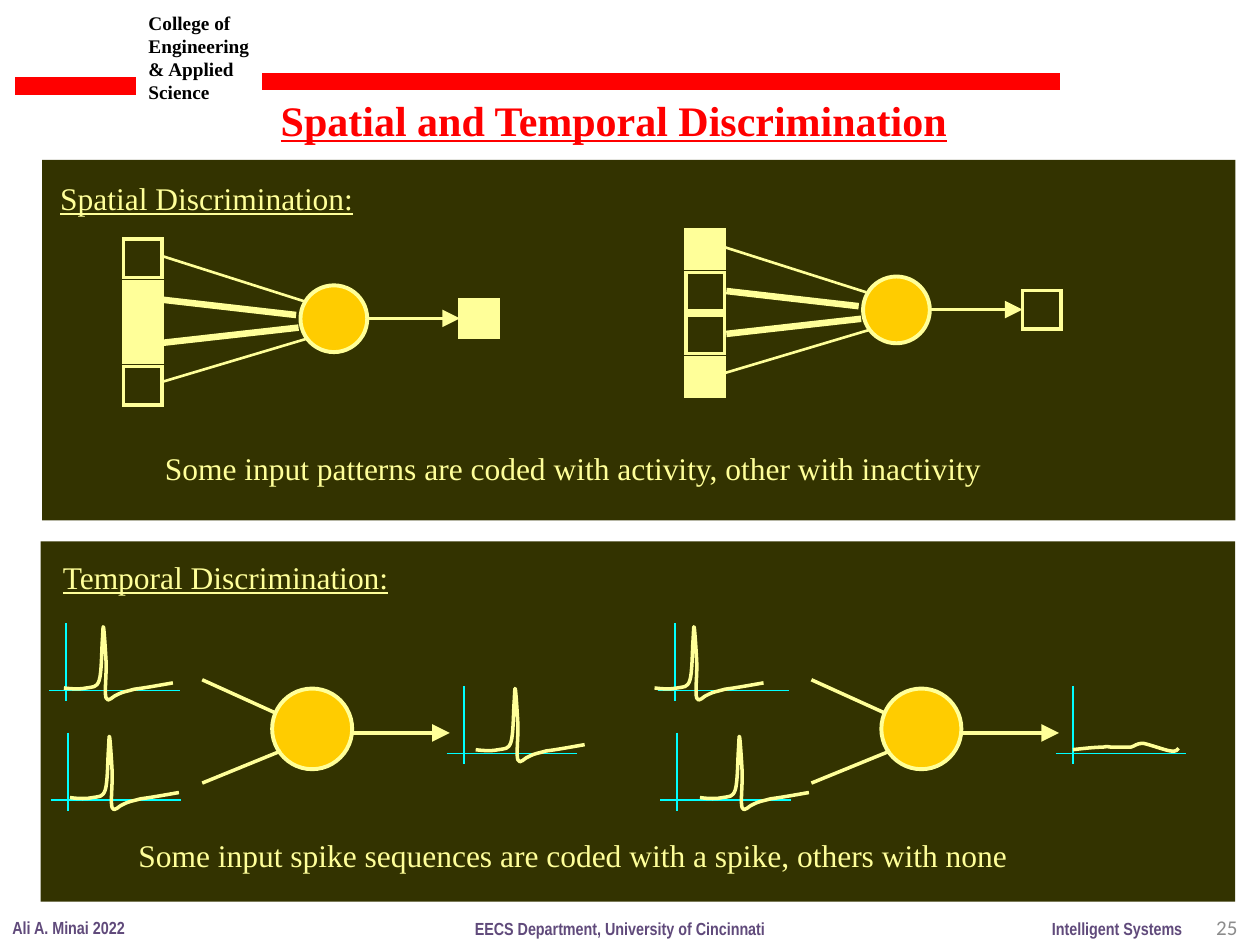
from dataclasses import dataclass

from lxml import etree
from pptx import Presentation
from pptx import util as u
from pptx.dml.color import RGBColor
from pptx.enum import shapes, text
from pptx.oxml.ns import qn


@dataclass(frozen=True)
class Theme:
    red: str = "FF0000"
    panel: str = "333300"
    ink: str = "FFFF99"
    neuron: str = "FFCC00"
    axis: str = "00FFFF"
    footer: str = "604A7B"
    number: str = "8C8C8C"
    black: str = "000000"
    serif: str = "Times New Roman"
    narrow: str = "Arial Narrow"
    sans: str = "Calibri"
    title_size: int = 24
    body_size: int = 18
    number_size: int = 12
    header_size: int = 11
    footer_size: int = 10


theme = Theme()
presentation = Presentation()
presentation.slide_width, presentation.slide_height = u.Inches(10), u.Inches(7.5)
column = presentation.slide_width / 100
row = presentation.slide_height / 75
slide = presentation.slides.add_slide(presentation.slide_layouts[6])


def add_line(x1, y1, x2, y2, color, width, arrow=False):
    """Draw a straight line between two grid points, with an optional arrowhead at its end."""
    connector = slide.shapes.add_connector(
        shapes.MSO_CONNECTOR.STRAIGHT,
        round(x1 * column), round(y1 * row), round(x2 * column), round(y2 * row))
    connector.line.color.rgb = RGBColor.from_string(color)
    connector.line.width = u.Pt(width)
    properties = connector._element.spPr
    if arrow:
        etree.SubElement(properties.find(qn("a:ln")), qn("a:tailEnd"),
                         type="triangle", w="lg", len="lg")
    etree.SubElement(properties, qn("a:effectLst"))


def add_block(kind, left, top, width, height, fill=None, line_width=0):
    """Draw a preset shape on the grid; without a fill it is hollow, without a width unlined."""
    shape = slide.shapes.add_shape(
        kind, round(left * column), round(top * row), round(width * column), round(height * row))
    shape.shadow.inherit = False
    if fill:
        shape.fill.solid()
        shape.fill.fore_color.rgb = RGBColor.from_string(fill)
    else:
        shape.fill.background()
    if line_width:
        shape.line.color.rgb = RGBColor.from_string(theme.ink)
        shape.line.width = u.Pt(line_width)
        etree.SubElement(shape._element.spPr.find(qn("a:ln")), qn("a:miter"), lim="800000")
    else:
        shape.line.fill.background()


rectangle, ellipse = shapes.MSO_SHAPE.RECTANGLE, shapes.MSO_SHAPE.OVAL

# Header rules and panels
add_line(1.2, 6.83, 10.8, 6.83, theme.red, 10)
add_line(20.8, 6.46, 84.15, 6.46, theme.red, 10)
add_block(rectangle, 3.23, 42.97, 94.8, 28.6, theme.panel)
add_block(rectangle, 3.35, 12.7, 94.7, 28.6, theme.panel)

# Texts: left, top, width, height, wording, size, font, color, bold, underline
footer_style = (theme.footer_size, theme.narrow, theme.footer, True, False)
heading_style = (theme.body_size, theme.serif, theme.ink, False, True)
caption_style = (theme.body_size, theme.serif, theme.ink, False, False)
header_style = (theme.header_size, theme.serif, theme.black, True, False)
title_style = (theme.title_size, theme.serif, theme.red, True, True)
number_style = (theme.number_size, theme.sans, theme.number, False, False)
texts = [
    (10.8, 0.4, 10.9, 8.4, "College of Engineering & Applied\nScience", header_style),
    (21.3, 7, 55.4, 5, "Spatial and Temporal Discrimination", title_style),
    (3.8, 13.7, 25.3, 4, "Spatial Discrimination:", heading_style),
    (12.1, 35.15, 67, 4, "Some input patterns are coded with activity, other with inactivity",
     caption_style),
    (4, 43.8, 28.1, 4, "Temporal Discrimination:", heading_style),
    (10, 65.85, 71.7, 4, "Some input spike sequences are coded with a spike, others with none",
     caption_style),
    (0, 72.3, 11, 2.7, "Ali A. Minai 2022", footer_style),
    (36.7, 72.35, 25.2, 2.7, "EECS Department, University of Cincinnati", footer_style),
    (82.5, 72.35, 12.4, 2.7, "Intelligent Systems", footer_style),
    (75.9, 71.6, 23.3, 4, "25", number_style),
]
for left, top, width, height, wording, style in texts:
    size, font_name, color, bold, underline = style
    box = slide.shapes.add_textbox(
        round(left * column), round(top * row), round(width * column), round(height * row))
    frame = box.text_frame
    frame.text = wording
    frame.word_wrap = style in (header_style, number_style)
    if style == number_style:
        frame.vertical_anchor = text.MSO_ANCHOR.MIDDLE
        frame.paragraphs[0].alignment = text.PP_ALIGN.RIGHT
    else:
        frame.auto_size = text.MSO_AUTO_SIZE.SHAPE_TO_FIT_TEXT
    for paragraph in frame.paragraphs:
        for run in paragraph.runs:
            run.font.size, run.font.name = u.Pt(size), font_name
            run.font.bold, run.font.underline = bold, underline
            run.font.color.rgb = RGBColor.from_string(color)

# Spatial networks: offset, active inputs, active output
synapses = [(12.9, 30.3, 24.3, 26.9, 1.5), (13, 27.2, 23.7, 26, 3.75),
            (13, 23.8, 23.5, 25, 3.75), (12.8, 20.3, 24.1, 23.9, 1.5)]
for dx, dy, active_inputs, output_active in [(0, 0, (1, 2), True), (44.65, -0.7, (0, 3), False)]:
    add_block(ellipse, 23.85, 22.65, 5.3, 5.3, theme.neuron, 2.25) if not dx else add_block(
        ellipse, 23.85 + dx, 22.65 + dy, 5.3, 5.3, theme.neuron, 2.25)
    for x1, y1, x2, y2, width in synapses:
        add_line(x1 + dx, y1 + dy, x2 + dx, y2 + dy, theme.ink, width)
    add_line(29.1 + dx, 25.27 + dy, 36.5 + dx, 25.27 + dy, theme.ink, 2, arrow=True)
    for index in range(4):
        add_block(rectangle, 9.8 + dx, 18.97 + 3.37 * index + dy, 3.05, 3.05,
                  theme.ink if index in active_inputs else None, 2)
    add_block(rectangle, 36.5 + dx, 23.75 + dy, 3.05, 3.05,
              theme.ink if output_active else None, 2)

# Signals: a start point, then Bezier pieces of two handles and an end point
spike = [(0, 5.1),
         (0.7, 5.2), (1.4, 5.2), (1.8, 5.1), (2.3, 5), (2.6, 5.1), (2.8, 4.5),
         (3, 3.9), (3, 2.1), (3.05, 1.4), (3.1, 0.7), (3.1, 0), (3.15, 0.3),
         (3.2, 0.6), (3.3, 2.1), (3.35, 3), (3.4, 4), (3.2, 5.5), (3.35, 5.9),
         (3.5, 6.35), (3.9, 5.7), (4.3, 5.6), (4.7, 5.4), (4.9, 5.4), (5.6, 5.2),
         (6.4, 5.1), (7.5, 4.9), (8.65, 4.7)]
silence = [(0, 0.5),
           (0.9, 0.4), (1.8, 0.3), (2.4, 0.3), (2.9, 0.2), (2.7, 0.3), (3.1, 0.3),
           (3.4, 0.3), (4.2, 0.3), (4.6, 0.3), (5, 0.2), (5, 0), (5.6, 0),
           (6.1, 0.1), (7.2, 0.5), (7.7, 0.6), (8.2, 0.7), (8.3, 0.5), (8.4, 0.4)]

# Temporal networks: offset, then each signal's left, top and curve
axes = [(3.9, 49.45), (4.05, 58.15), (35.45, 54.45)]
temporal_networks = [
    (0, [(5.07, 49.5, spike), (5.55, 58.2, spike), (37.75, 54.4, spike)]),
    (48.35, [(51.95, 49.5, spike), (55.55, 58.2, spike), (85.15, 59, silence)]),
]
for dx, signals in temporal_networks:
    add_block(ellipse, 21.6 + dx, 54.65, 6.35, 6.4, theme.neuron, 2.25)
    add_line(16.05 + dx, 53.95, 21.9 + dx, 56.6, theme.ink, 2)
    add_line(16.05 + dx, 62.15, 22.3 + dx, 59.6, theme.ink, 2)
    add_line(28 + dx, 58.17, 35.7 + dx, 58.17, theme.ink, 2, arrow=True)
    for (axis_left, axis_top), (left, top, curve) in zip(axes, signals):
        axis_x, axis_y = axis_left + dx, axis_top + 5.35
        add_line(axis_x + 1.35, axis_top, axis_x + 1.35, axis_top + 6.2, theme.axis, 1)
        add_line(axis_x, axis_y, axis_x + 10.35, axis_y, theme.axis, 1)
        points = [(round((left + x) * column), round((top + y) * row)) for x, y in curve]
        builder = slide.shapes.build_freeform(*points[0])
        builder.add_line_segments(points[1:], close=False)
        signal = builder.convert_to_shape()
        segments = list(signal._element.iter(qn("a:lnTo")))
        for start in range(0, len(segments), 3):
            bezier = etree.SubElement(segments[start].getparent(), qn("a:cubicBezTo"))
            for segment in segments[start:start + 3]:
                bezier.append(segment[0])
                segment.getparent().remove(segment)
        signal.shadow.inherit = False
        signal.fill.background()
        signal.line.color.rgb = RGBColor.from_string(theme.ink)
        signal.line.width = u.Pt(2)

presentation.save("out.pptx")
